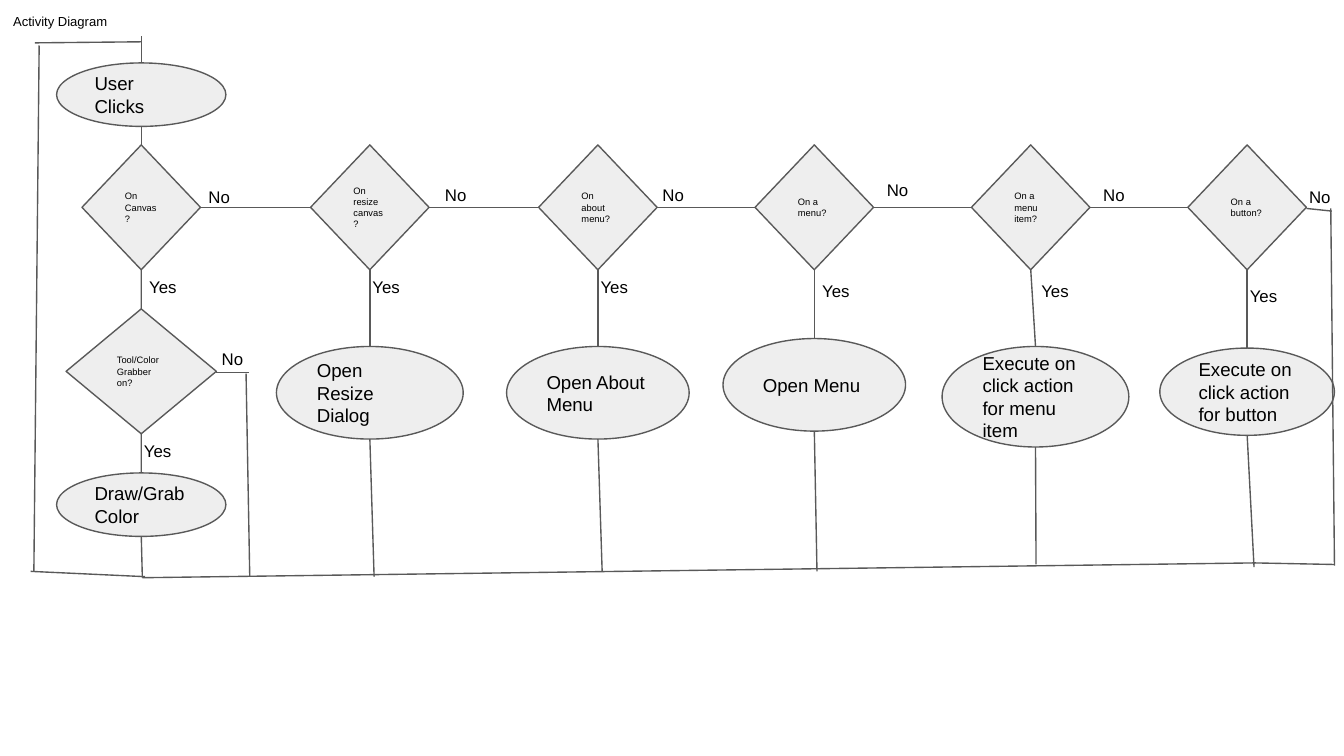
import pptx
import pptx.util
import pptx.dml.color
import pptx.enum.shapes
import pptx.enum.text
import pptx.oxml.ns
import lxml.etree

Cm = pptx.util.Cm
SHAPES = pptx.enum.shapes.MSO_SHAPE
ANCHOR = pptx.enum.text.MSO_ANCHOR
AUTO_SIZE = pptx.enum.text.MSO_AUTO_SIZE

FILL, LINE, INK = "EEEEEE", "595959", "000000"
TOP, LEFT, BOTTOM, RIGHT = range(4)
QUESTION_SIZE, LABEL_SIZE, ACTION_SIZE = 5, 9, 10
QUESTION_WIDTH, QUESTION_HEIGHT = 2.24, 2.36
ROW_TOP = 2.74
FRAME = {"word_wrap": True, "margin_left": Cm(0.25), "margin_right": Cm(0.25),
         "margin_top": Cm(0.25), "margin_bottom": Cm(0.25)}

# Per column: centre, question, its "No" and "Yes" label boxes (offset from the
# diamond's right corner or centre, top, width), the action with its box
# (centre offset, top below the row, width, height), the tail (offset, end)
COLUMNS = [
    (2.67, "On Canvas?", (-0.1, 3.33, 0.94), (-0.1, 5.03, 1.14),
     "Tool/Color Grabber on?", (0, 3.1, 2.84, 2.36), None),
    (6.99, "On resize canvas?", (0.05, 3.3, 0.94), (-0.2, 5.03, 1.32),
     "Open Resize Dialog", (0, 3.81, 3.53, 1.75), (0.08, 10.9)),
    (11.3, "On about menu?", (-0.15, 3.3, 0.94), (-0.2, 5.03, 1.32),
     "Open About Menu", (0, 3.81, 3.45, 1.75), (0.08, 10.8)),
    (15.39, "On a menu?", (0, 3.2, 1.2), (-0.1, 5.11, 1.32),
     "Open Menu", (0, 3.66, 3.45, 1.75), (0.05, 10.8)),
    (19.48, "On a menu item?", (0, 3.3, 1.32), (-0.05, 5.11, 1.32),
     "Execute on click action for menu item", (0.09, 3.81, 3.53, 1.9), (0.1, 10.67)),
    (23.57, "On a button?", (-0.2, 3.33, 1.2), (-0.2, 5.21, 1.32),
     "Execute on click action for button", (0, 3.84, 3.3, 1.65), (0.13, 10.72)),
]

# Return paths, as start x, y and end x, y
RETURN_LINES = [
    (2.69, 10.92, 23.72, 10.64),    # collecting line
    (23.7, 10.64, 25.22, 10.67),
    (0.58, 10.8, 2.74, 10.9),
    (0.74, 0.86, 0.64, 10.8),       # left side, back to the start
    (2.67, 0.79, 0.66, 0.81),
    (4.09, 7.04, 4.7, 7.04),        # tool question answered "No"
    (4.65, 7.06, 4.72, 10.9),
    (24.69, 3.94, 25.17, 3.99),     # last question answered "No"
    (25.15, 3.94, 25.22, 10.69),
]


def color(hex_string):
    return pptx.dml.color.RGBColor.from_string(hex_string)


def write(shape, text, size, **settings):
    frame = shape.text_frame
    for name, value in {**FRAME, **settings}.items():
        setattr(frame, name, value)
    paragraph = frame.paragraphs[0]
    paragraph.alignment = pptx.enum.text.PP_ALIGN.LEFT
    run = paragraph.add_run()
    run.text = text
    for name, value in {"name": "Arial", "size": pptx.util.Pt(size)}.items():
        setattr(run.font, name, value)
    run.font.color.rgb = color(INK)


def add_node(slide, kind, text, size, center, top, width, height):
    shape = slide.shapes.add_shape(
        kind, Cm(center - width / 2), Cm(top), Cm(width), Cm(height))
    shape.shadow.inherit = False
    shape.fill.solid()
    shape.fill.fore_color.rgb = color(FILL)
    shape.line.color.rgb = color(LINE)
    shape.line.width = pptx.util.Pt(0.75)
    write(shape, text, size, vertical_anchor=ANCHOR.MIDDLE)
    return shape


def add_label(slide, text, left, top, width):
    label = slide.shapes.add_textbox(Cm(left), Cm(top), Cm(width), Cm(0.89))
    write(label, text, LABEL_SIZE, auto_size=AUTO_SIZE.SHAPE_TO_FIT_TEXT)


def add_line(slide, *ends):
    line = slide.shapes.add_connector(
        pptx.enum.shapes.MSO_CONNECTOR.STRAIGHT, *map(Cm, ends))
    line.line.color.rgb = color(LINE)
    line.line.width = pptx.util.Pt(0.75)
    lxml.etree.SubElement(line._element.spPr, pptx.oxml.ns.qn("a:effectLst"))
    return line


def join(slide, first, first_side, second, second_side):
    line = add_line(slide, 0, 0, 0, 0)
    line.begin_connect(first, first_side)
    line.end_connect(second, second_side)


def add_title(slide, left, top, width, height):
    title = slide.shapes.title
    for name, value in {"left": left, "top": top, "width": width, "height": height}.items():
        setattr(title, name, Cm(value))
    write(title, "Activity Diagram", 7, vertical_anchor=ANCHOR.TOP, auto_size=AUTO_SIZE.NONE)


def add_column(slide, center, top, question, no_box, yes_box, action, action_box, tail):
    """A question with the action below it; returns both shapes."""
    diamond = add_node(slide, SHAPES.DIAMOND, question, QUESTION_SIZE,
                       center, top, QUESTION_WIDTH, QUESTION_HEIGHT)
    offset, drop, width, height = action_box
    kind, size = (SHAPES.OVAL, ACTION_SIZE) if tail else (SHAPES.DIAMOND, QUESTION_SIZE)
    result = add_node(slide, kind, action, size, center + offset, top + drop, width, height)
    join(slide, diamond, BOTTOM, result, TOP)
    if tail:
        add_line(slide, center + offset, top + drop + height, center + tail[0], tail[1])
    add_label(slide, "No", center + QUESTION_WIDTH / 2 + no_box[0], *no_box[1:])
    add_label(slide, "Yes", center + yes_box[0], *yes_box[1:])
    return diamond, result


def add_canvas_branch(slide, center, top, canvas_question, tool_question):
    """The start above the first column and the drawing step below it."""
    width, height = 3.2, 1.2
    draw_top = top + 7.75
    add_node(slide, SHAPES.OVAL, "User Clicks", ACTION_SIZE, center, top, width, height)
    draw = add_node(slide, SHAPES.OVAL, "Draw/Grab Color", ACTION_SIZE,
                    center, draw_top, width, height)
    add_line(slide, center, top, center, top - 0.5)
    add_line(slide, center, top + height, center, ROW_TOP)
    join(slide, tool_question, BOTTOM, draw, TOP)
    add_line(slide, center, draw_top + height, center + 0.02, 10.92)
    add_label(slide, "No", 3.94, 6.4, 1.2)
    add_label(slide, "Yes", center - 0.2, 8.13, 1.32)


def main():
    presentation = pptx.Presentation()
    presentation.slide_width, presentation.slide_height = Cm(25.4), Cm(14.29)
    slide = presentation.slides.add_slide(presentation.slide_layouts[5])
    add_title(slide, 0, 0, 8.33, 0.81)

    # Questions and actions
    pairs = [add_column(slide, center, ROW_TOP, *rest) for center, *rest in COLUMNS]
    add_canvas_branch(slide, COLUMNS[0][0], 1.19, *pairs[0])

    # Links from each question to the next
    for (question, _), (following, _) in zip(pairs, pairs[1:]):
        join(slide, question, RIGHT, following, LEFT)

    # Return paths
    for ends in RETURN_LINES:
        add_line(slide, *ends)
    presentation.save("out.pptx")


if __name__ == "__main__":
    main()
